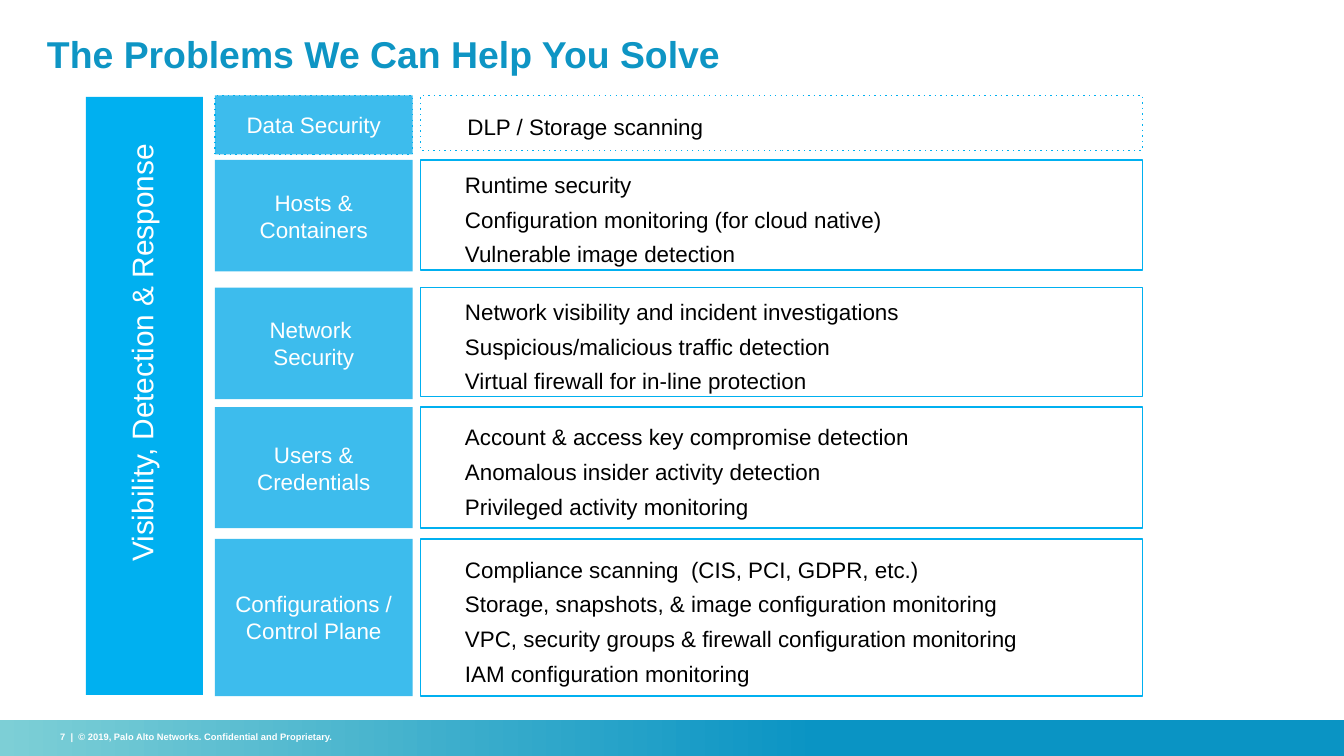
from pptx import Presentation
from pptx.dml.color import RGBColor
from pptx.enum.dml import MSO_LINE
from pptx.enum.shapes import MSO_SHAPE
from pptx.enum.text import MSO_ANCHOR, PP_ALIGN
from pptx.oxml.ns import qn
from pptx.util import Inches, Pt

WIDTH = 10
HEIGHT = WIDTH * 9 / 16
FONT = "Arial"
WHITE, BLACK, TITLE_BLUE = "FFFFFF", "000000", "0E95C4"
BAR_BLUE, LABEL_BLUE = "00B0F0", "3DBCED"
FOOTER_STOPS = [(0, "7DCFD6"), (0.61, "0A94C4")]

TITLE = "The Problems We Can Help You Solve"
BAR_TEXT = "Visibility, Detection & Response"
FOOTER = "7  |  © 2019,\u00a0Palo Alto Networks. Confidential and Proprietary."
DATA_DETAIL = "DLP / Storage scanning"

# label, top, label height, detail height, dotted outline, detail lines
ROWS = [
    ("Data Security", 0.71, 0.44, 0.41, True, []),
    ("Hosts & Containers", 1.19, 0.83, 0.82, False, [
        "Runtime security",
        "Configuration monitoring (for cloud native)",
        "Vulnerable image detection"]),
    ("Network \nSecurity", 2.14, 0.83, 0.81, False, [
        "Network visibility and incident investigations",
        "Suspicious/malicious traffic detection",
        "Virtual firewall for in-line protection"]),
    ("Users & Credentials", 3.03, 0.9, 0.9, False, [
        "Account & access key compromise detection",
        "Anomalous insider activity detection",
        "Privileged activity monitoring"]),
    ("Configurations / Control Plane", 4.01, 1.17, 1.17, False, [
        "Compliance scanning  (CIS, PCI, GDPR, etc.)",
        "Storage, snapshots, & image configuration monitoring",
        "VPC, security groups & firewall configuration monitoring",
        "IAM configuration monitoring"]),
]
BAR_LEFT, BAR_WIDTH = 0.64, 0.87
LABEL_LEFT, LABEL_WIDTH = 1.6, 1.47
DETAIL_LEFT, DETAIL_WIDTH = 3.13, 5.37
GRID_TOP, GRID_BOTTOM = 0.72, 5.17
FOOTER_TOP = 5.36


def color(value):
    return RGBColor.from_string(value)


def write(shape, lines, size, ink, bold=False, align=PP_ALIGN.LEFT,
          anchor=MSO_ANCHOR.TOP, spacing=None, insets=(0.1, 0.05, 0.1, 0.05)):
    frame = shape.text_frame
    left, top, right, bottom = (Inches(inset) for inset in insets)
    settings = {"word_wrap": True, "vertical_anchor": anchor,
                "margin_left": left, "margin_top": top,
                "margin_right": right, "margin_bottom": bottom}
    for name, value in settings.items():
        setattr(frame, name, value)
    for index, line in enumerate(lines):
        paragraph = frame.add_paragraph() if index else frame.paragraphs[0]
        paragraph.text = line
        paragraph.alignment = align
        paragraph.line_spacing = spacing
        for run in paragraph.runs:
            for name, value in {"name": FONT, "size": Pt(size), "bold": bold}.items():
                setattr(run.font, name, value)
            run.font.color.rgb = color(ink)


def add_box(slide, area, fill=None, outline=None, dotted=False):
    box = slide.shapes.add_shape(MSO_SHAPE.RECTANGLE, *map(Inches, area))
    box.shadow.inherit = False
    if fill:
        box.fill.solid()
        box.fill.fore_color.rgb = color(fill)
    else:
        box.fill.background()
    if outline:
        box.line.color.rgb = color(outline)
        box.line.width = Pt(0.75)
        if dotted:
            box.line.dash_style = MSO_LINE.ROUND_DOT
            dash = box.line._get_or_add_ln().find(qn("a:prstDash"))
            dash.set("val", "dot")
    else:
        box.line.fill.background()
    return box


def add_text(slide, area, text, size, ink, **options):
    box = slide.shapes.add_textbox(*map(Inches, area))
    write(box, [text], size, ink, **options)
    return box


def add_row(slide, label, top, label_height, detail_height, dotted, details):
    label_box = add_box(slide, (LABEL_LEFT, top, LABEL_WIDTH, label_height),
                        LABEL_BLUE, BAR_BLUE if dotted else None, dotted)
    write(label_box, [label], 12, WHITE, align=PP_ALIGN.CENTER,
          anchor=MSO_ANCHOR.MIDDLE, insets=(0.1,) * 4)
    detail_box = add_box(slide, (DETAIL_LEFT, top, DETAIL_WIDTH, detail_height),
                         None, BAR_BLUE, dotted)
    write(detail_box, details, 12, BLACK, anchor=MSO_ANCHOR.MIDDLE,
          spacing=1.3, insets=(0.33, 0, 0.1, 0))


def add_footer(slide):
    band = add_box(slide, (0, FOOTER_TOP, WIDTH, HEIGHT - FOOTER_TOP), WHITE)
    band.fill.gradient()
    band.fill.gradient_angle = 0
    for stop, (position, value) in zip(band.fill.gradient_stops, FOOTER_STOPS):
        stop.position = position
        stop.color.rgb = color(value)
    add_text(slide, (0.35, FOOTER_TOP, 3.76, 0.24), FOOTER, 5, WHITE,
             bold=True, anchor=MSO_ANCHOR.MIDDLE)


def main():
    presentation = Presentation()
    presentation.slide_width = Inches(WIDTH)
    presentation.slide_height = Inches(HEIGHT)
    slide = presentation.slides.add_slide(presentation.slide_layouts[6])

    add_footer(slide)
    add_text(slide, (0.35, 0.23, 9.26, 0.36), TITLE, 20, TITLE_BLUE,
             bold=True, insets=(0,) * 4)
    for row in ROWS:
        add_row(slide, *row)
    add_text(slide, (3.38, 0.71, 5, 0.35), DATA_DETAIL, 12, BLACK, spacing=1.4)

    add_box(slide, (BAR_LEFT, GRID_TOP, BAR_WIDTH, GRID_BOTTOM - GRID_TOP), BAR_BLUE)
    bar_text = add_text(slide, (-0.71, 2.51, 3.53, 0.37), BAR_TEXT, 16, WHITE,
                        insets=(0.28, 0.05, 0.1, 0.05))
    bar_text.rotation = 270
    presentation.save("out.pptx")


if __name__ == "__main__":
    main()
